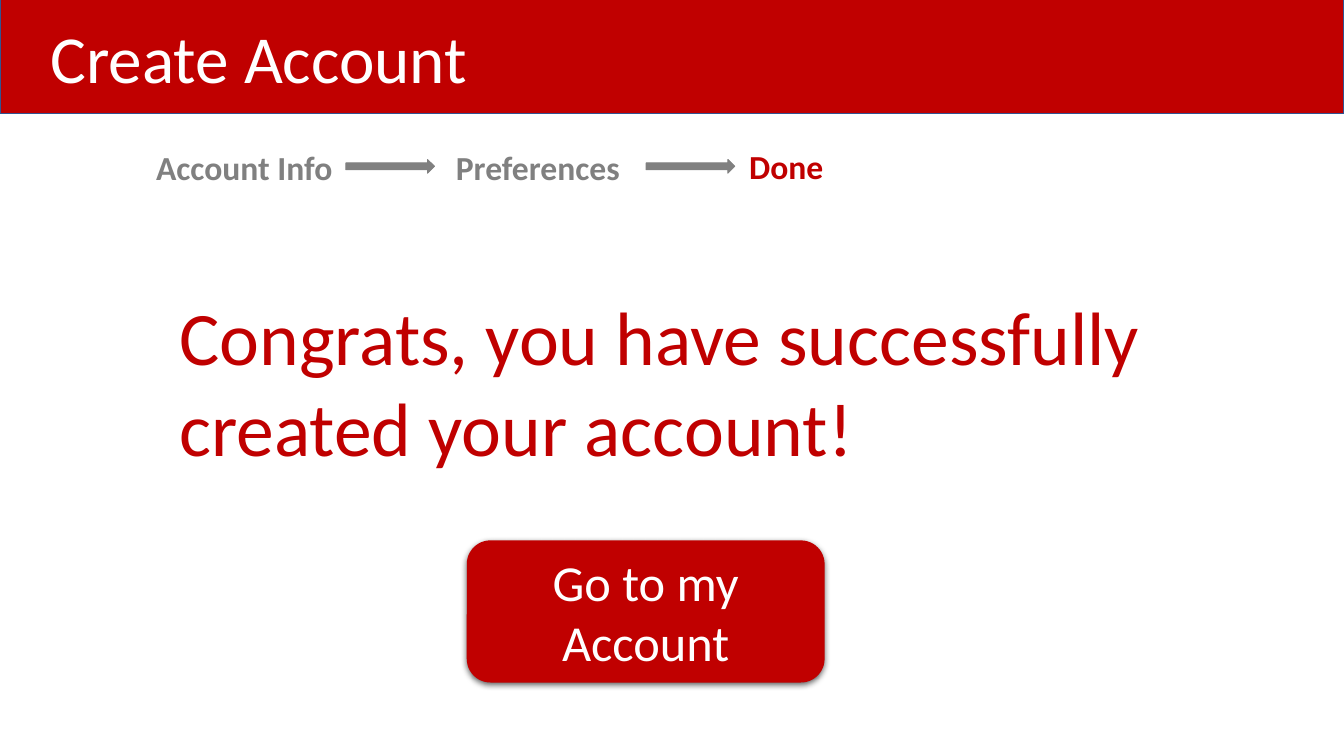
from lxml import etree
from pptx import Presentation
from pptx.dml.color import RGBColor
from pptx.enum import shapes, text
from pptx.oxml import ns
from pptx.util import Pt

RED = RGBColor(0xC0, 0x00, 0x00)
GRAY = RGBColor(0x80, 0x80, 0x80)
NAVY = RGBColor(0x32, 0x54, 0x91)
WHITE = RGBColor(0xFF, 0xFF, 0xFF)

deck = Presentation()
deck.slide_width, deck.slide_height = Pt(960), Pt(540)
slide = deck.slides.add_slide(deck.slide_layouts[6])


def add_block(kind, box, fill, line=None, line_width=1):
    block = slide.shapes.add_shape(kind, *map(Pt, box))
    block.shadow.inherit = False
    block.fill.solid()
    block.fill.fore_color.rgb = fill
    if line is None:
        block.line.fill.background()
    else:
        block.line.color.rgb = line
        block.line.width = Pt(line_width)
    return block


def write(holder, words, size, color, bold=False, align=text.PP_ALIGN.LEFT):
    holder.text_frame.word_wrap = True
    paragraph = holder.text_frame.paragraphs[0]
    paragraph.text = words
    paragraph.alignment = align
    font_format = {"name": "Calibri", "size": Pt(size), "bold": bold}
    for attribute, value in font_format.items():
        setattr(paragraph.font, attribute, value)
    paragraph.font.color.rgb = color
    return paragraph


# Header bar and title
add_block(shapes.MSO_SHAPE.RECTANGLE, (0, -2, 960, 83), RED, NAVY)
title = slide.shapes.add_textbox(Pt(-11.5), Pt(14.4), Pt(393), Pt(86.4))
heading = write(title, "Create Account", 48, WHITE, align=text.PP_ALIGN.CENTER)
heading.line_spacing = 0.9

# Progress steps
steps = [("Account Info", 104.4, 101.5, GRAY),
         ("Preferences", 318.5, 101.5, GRAY),
         ("Done", 528, 100.8, RED)]
for words, left, top, color in steps:
    step = slide.shapes.add_textbox(Pt(left), Pt(top), Pt(142.5), Pt(36))
    write(step, words, 24, color, bold=True)
for left in (247, 461.5):
    add_block(shapes.MSO_SHAPE.RIGHT_ARROW, (left, 113.8, 63.4, 10), GRAY, GRAY, 0.5)

# Success message
message = slide.shapes.add_textbox(Pt(121), Pt(203.8), Pt(708), Pt(138))
write(message, "Congrats, you have successfully created your account!", 54, RED)

# Account button with a soft shadow below
button = add_block(shapes.MSO_SHAPE.ROUNDED_RECTANGLE, (333.4, 386, 255.6, 101.5), RED)
button.text_frame.vertical_anchor = text.MSO_ANCHOR.MIDDLE
write(button, "Go to my Account", 36, WHITE, align=text.PP_ALIGN.CENTER)
effects = button.element.spPr.find(ns.qn("a:effectLst"))
shadow = etree.SubElement(effects, ns.qn("a:outerShdw"), blurRad=str(Pt(4.5)),
                          dist=str(Pt(1.5)), dir="5400000", rotWithShape="0")
shade = etree.SubElement(shadow, ns.qn("a:srgbClr"), val="000000")
etree.SubElement(shade, ns.qn("a:alpha"), val="63000")

deck.save("out.pptx")
